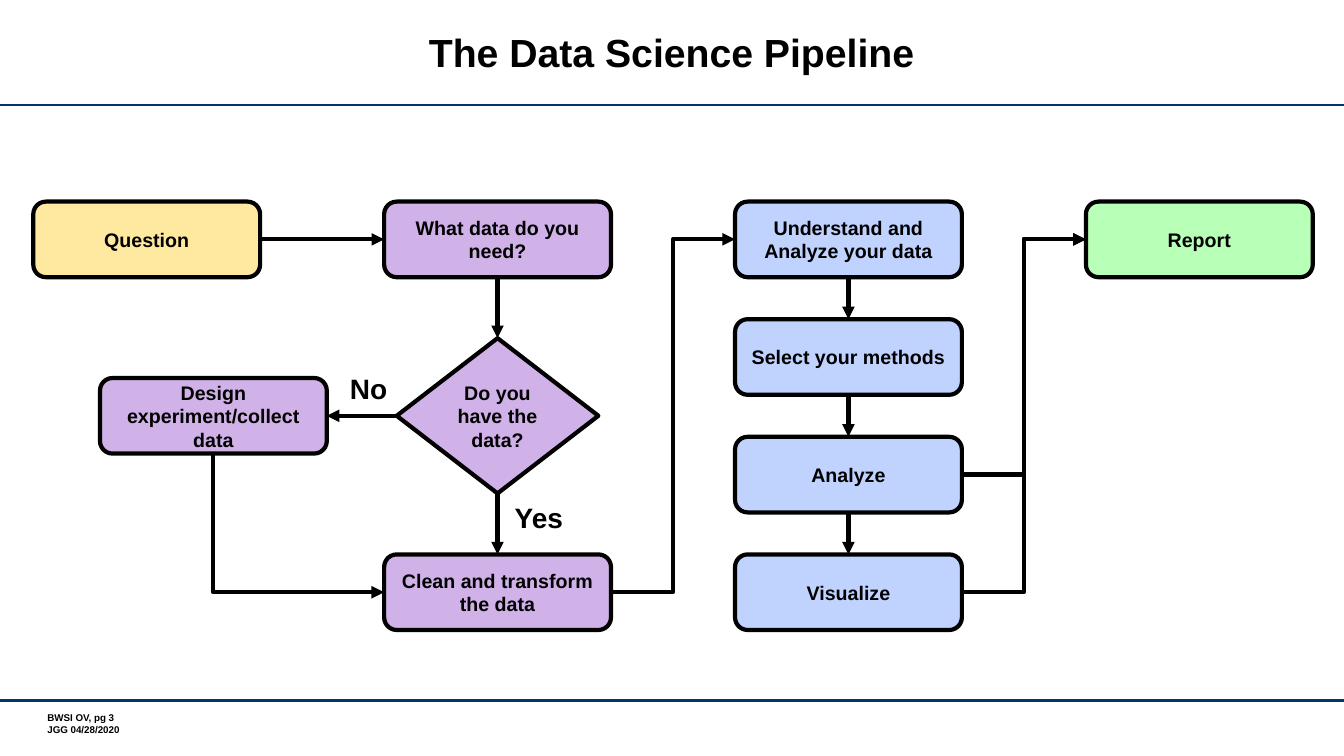
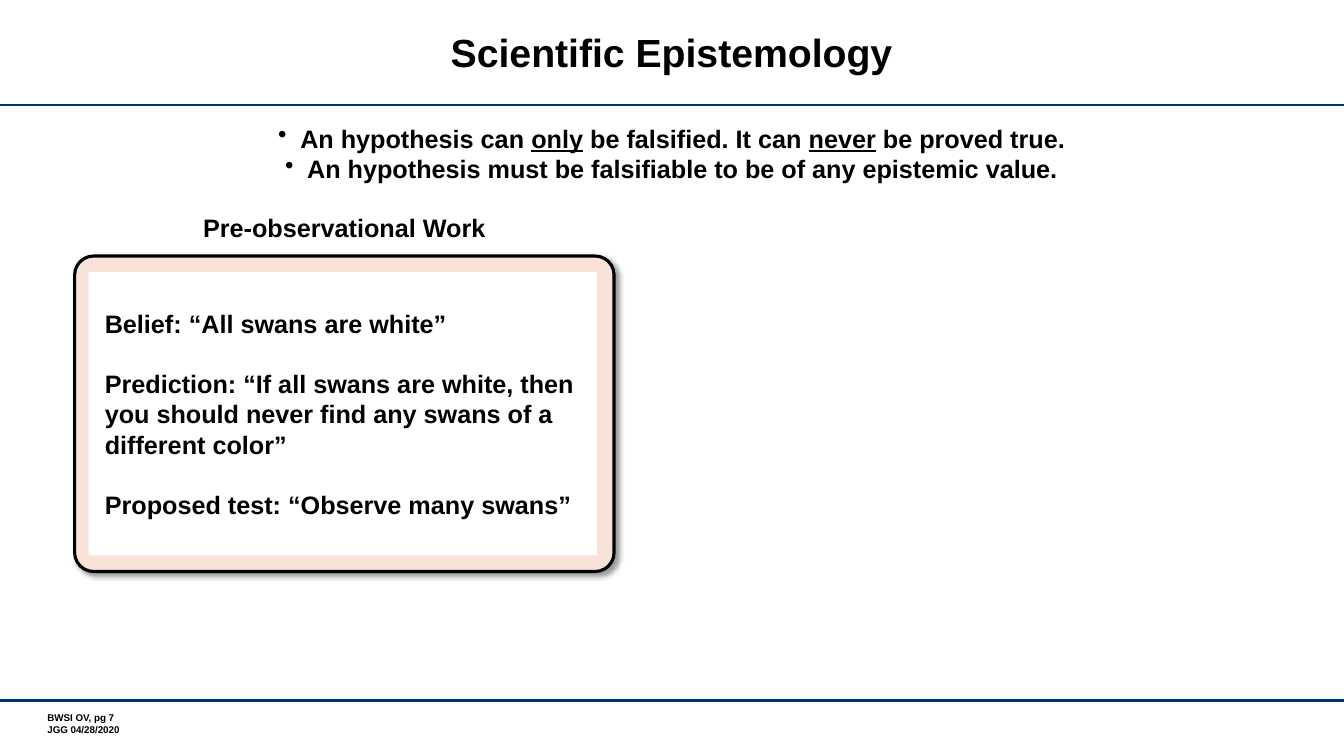
from dataclasses import dataclass
from lxml.etree import SubElement
from pptx import Presentation
from pptx.dml.color import RGBColor
from pptx.enum.shapes import MSO_CONNECTOR, MSO_SHAPE
from pptx.enum.text import MSO_ANCHOR, PP_ALIGN
from pptx.oxml.ns import qn
from pptx.util import Inches, Pt


@dataclass(frozen=True)
class Theme:
    font: str = "Arial"
    ink: str = "000000"
    white: str = "FFFFFF"
    rule: str = "003767"
    ask: str = "FFE89F"
    data: str = "D1B2E8"
    study: str = "C0D2FE"
    tell: str = "B8FFB8"
    card: str = "F9E3D8"
    title: float = 28
    label: float = 20
    body: float = 18
    node: float = 14
    foot: float = 7
    stroke: float = 3
    edge: float = 2.25
    thin: float = 1.75


T = Theme()
WIDE, HIGH = 13.33, 7.5
TOP, LEFT, BOTTOM, RIGHT = range(4)

# Content: flow chart, with places as (column, row) of the grid
NODES = {
    "ask": ("Question", 0, 0, T.ask),
    "get": ("Design experiment/collect data", 0.19, 1.5, T.data),
    "have": ("Do you have the data?", 1, 1.5, T.data),
    "clean": ("Clean and transform the data", 1, 3, T.data),
    "need": ("What data do you need?", 1, 0, T.data),
    "grasp": ("Understand and Analyze your data", 2, 0, T.study),
    "pick": ("Select your methods", 2, 1, T.study),
    "run": ("Analyze", 2, 2, T.study),
    "show": ("Visualize", 2, 3, T.study),
    "tell": ("Report", 3, 0, T.tell),
}
LINKS = [
    ("grasp", BOTTOM, "pick", TOP), ("pick", BOTTOM, "run", TOP),
    ("run", BOTTOM, "show", TOP), ("ask", RIGHT, "need", LEFT),
    ("need", BOTTOM, "have", TOP), ("have", LEFT, "get", RIGHT),
    ("clean", RIGHT, "grasp", LEFT), ("have", BOTTOM, "clean", TOP),
    ("get", BOTTOM, "clean", LEFT), ("show", RIGHT, "tell", LEFT),
    ("run", RIGHT, "tell", LEFT),
]
LABELS = [("No", 3.26, 3.67), ("Yes", 4.95, 4.95)]

# Content: swans; a run is (text, underlined)
CLAIMS = [
    [("An hypothesis can ", False), ("only", True),
     (" be falsified. It can ", False), ("never", True),
     (" be proved true.", False)],
    [("An hypothesis must be falsifiable to be of any epistemic value.", False)],
]
HEAD = "Pre-observational Work"
STEPS = [
    "Belief: “All swans are white”",
    "Prediction: “If all swans are white, then you should never find any "
    "swans of a different color”",
    "Proposed test: “Observe many swans”",
]

# Grid of the flow chart
COL, ROW = 3.48, 3.5 / 3
LEAD, PEAK = 0.33, 2
BOX = (2.25, 0.75)
GEM = (2, 1.54)


def rgb(code):
    return RGBColor.from_string(code)


def write(shape, paras, size, align=PP_ALIGN.LEFT, anchor=MSO_ANCHOR.TOP,
          pad=(0.1, 0.05), gap=0):
    """Fill a shape with paragraphs, each a string or a list of runs."""
    frame = shape.text_frame
    frame.word_wrap = True
    frame.vertical_anchor = anchor
    frame.margin_left = frame.margin_right = Inches(pad[0])
    frame.margin_top = frame.margin_bottom = Inches(pad[1])
    for i, runs in enumerate(paras):
        para = frame.add_paragraph() if i else frame.paragraphs[0]
        para.alignment = align
        if i and gap:
            para.space_before = Pt(gap)
        for text, under in [(runs, False)] if isinstance(runs, str) else runs:
            run = para.add_run()
            run.text = text
            font = run.font
            font.name, font.size, font.bold = T.font, Pt(size), True
            font.color.rgb = rgb(T.ink)
            if under:
                font.underline = True
    return frame.paragraphs


def note(slide, place, paras, size, **style):
    box = slide.shapes.add_textbox(*map(Inches, place))
    return write(box, paras, size, **style)


def block(slide, kind, place, fill, line=0):
    shape = slide.shapes.add_shape(kind, *map(Inches, place))
    shape.shadow.inherit = False
    shape.fill.solid()
    shape.fill.fore_color.rgb = rgb(fill)
    if line:
        shape.line.color.rgb = rgb(T.ink)
        shape.line.width = Pt(line)
    else:
        shape.line.fill.background()
    return shape


def wire(slide, kind, ends, color, width):
    cxn = slide.shapes.add_connector(kind, *map(Inches, ends))
    cxn.line.color.rgb = rgb(color)
    cxn.line.width = Pt(width)
    SubElement(cxn._element.spPr, qn("a:effectLst"))
    return cxn


def side(shape, site):
    """Middle of one side of a shape."""
    x, y, w, h = shape.left, shape.top, shape.width, shape.height
    return [(x + w // 2, y), (x, y + h // 2),
            (x + w // 2, y + h), (x + w, y + h // 2)][site]


def link(slide, start, out, stop, into):
    (x1, y1), (x2, y2) = side(start, out), side(stop, into)
    slack = Inches(0.02)
    bent = abs(x1 - x2) > slack and abs(y1 - y2) > slack
    kind = MSO_CONNECTOR.ELBOW if bent else MSO_CONNECTOR.STRAIGHT
    cxn = wire(slide, kind, (0, 0, 1, 1), T.ink, T.stroke)
    cxn.begin_x, cxn.begin_y, cxn.end_x, cxn.end_y = x1, y1, x2, y2
    cxn.begin_connect(start, out)
    cxn.end_connect(stop, into)
    SubElement(cxn.line._get_or_add_ln(), qn("a:tailEnd"), type="triangle")
    if bent and out == BOTTOM:
        # One corner, down then right: a turned and mirrored elbow
        w, h = y2 - y1, x2 - x1
        cxn.left, cxn.top = (x1 + x2 - w) // 2, (y1 + y2 - h) // 2
        cxn.width, cxn.height = w, h
        spec = cxn._element.spPr
        spec.find(qn("a:prstGeom")).set("prst", "bentConnector2")
        turn = spec.find(qn("a:xfrm"))
        turn.set("rot", "16200000")
        turn.set("flipH", "1")


def page(deck, title, num):
    """A slide with the shared title, rules and footer."""
    slide = deck.slides.add_slide(deck.slide_layouts[6])
    for y in (1.04, 6.95):
        wire(slide, MSO_CONNECTOR.STRAIGHT, (0, y, WIDE, y), T.rule, T.thin)
    note(slide, (0.47, 7.06, 1.59, 0.24),
         [f"BWSI OV, pg {num}", "JGG 04/28/2020"], T.foot, pad=(0, 0))
    head = note(slide, (1.37, 0.11, 10.58, 0.89), [title], T.title,
                align=PP_ALIGN.CENTER, anchor=MSO_ANCHOR.MIDDLE)
    head[0].line_spacing = Pt(T.title)
    return slide


def flow(deck):
    slide = page(deck, "The Data Science Pipeline", 3)
    made = {}
    for key, (text, col, row, fill) in NODES.items():
        gem = key == "have"
        w, h = GEM if gem else BOX
        x = LEAD + col * COL + (BOX[0] - w) / 2
        y = PEAK + row * ROW + (BOX[1] - h) / 2
        kind = (MSO_SHAPE.FLOWCHART_DECISION if gem
                else MSO_SHAPE.FLOWCHART_ALTERNATE_PROCESS)
        made[key] = block(slide, kind, (x, y, w, h), fill, T.stroke)
        write(made[key], [text], T.node, PP_ALIGN.CENTER, MSO_ANCHOR.MIDDLE)
    for start, out, stop, into in LINKS:
        link(slide, made[start], out, made[stop], into)
    for text, x, y in LABELS:
        para = note(slide, (x, y, 0.79, 0.44), [text], T.label,
                    align=PP_ALIGN.CENTER)[0]
        para.line_spacing, para.space_before = 0.9, Pt(12)


def shade(shape):
    """Soft shadow to the lower right."""
    glow = SubElement(shape._element.spPr.find(qn("a:effectLst")),
                      qn("a:outerShdw"), blurRad=str(Pt(4)), dist=str(Pt(3)),
                      dir="2700000", algn="tl", rotWithShape="0")
    tint = SubElement(glow, qn("a:srgbClr"), val=T.ink)
    SubElement(tint, qn("a:alpha"), val="40000")


def swans(deck):
    slide = page(deck, "Scientific Epistemology", 7)
    # Card with its heading and white panel
    x, y, w, h = 0.74, 2.54, 5.35, 3.13
    card = block(slide, MSO_SHAPE.ROUNDED_RECTANGLE, (x, y, w, h),
                 T.card, T.edge)
    card.adjustments[0] = 0.06
    shade(card)
    note(slide, (x, 2.06, w, 0.4), [HEAD], T.body, align=PP_ALIGN.CENTER)
    rim = 0.16
    panel = block(slide, MSO_SHAPE.RECTANGLE,
                  (x + 0.14, y + rim, 5.04, h - 2 * rim), T.white)
    write(panel, STEPS, T.body, anchor=MSO_ANCHOR.MIDDLE,
          pad=(rim, 0.05), gap=1.2 * T.body)
    # Bulleted claims
    claims = note(slide, (2.05, 1.17, 9.22, 0.67), CLAIMS, T.body,
                  align=PP_ALIGN.CENTER)
    claims[0].space_before = Pt(3)
    for para in claims:
        props = para._p.get_or_add_pPr()
        props.set("marL", str(Inches(0.22)))
        props.set("indent", str(-Inches(0.22)))
        SubElement(props, qn("a:buChar"), char="•")


def main():
    deck = Presentation()
    deck.slide_width, deck.slide_height = Inches(WIDE), Inches(HIGH)
    flow(deck)
    swans(deck)
    deck.save("out.pptx")


if __name__ == "__main__":
    main()
